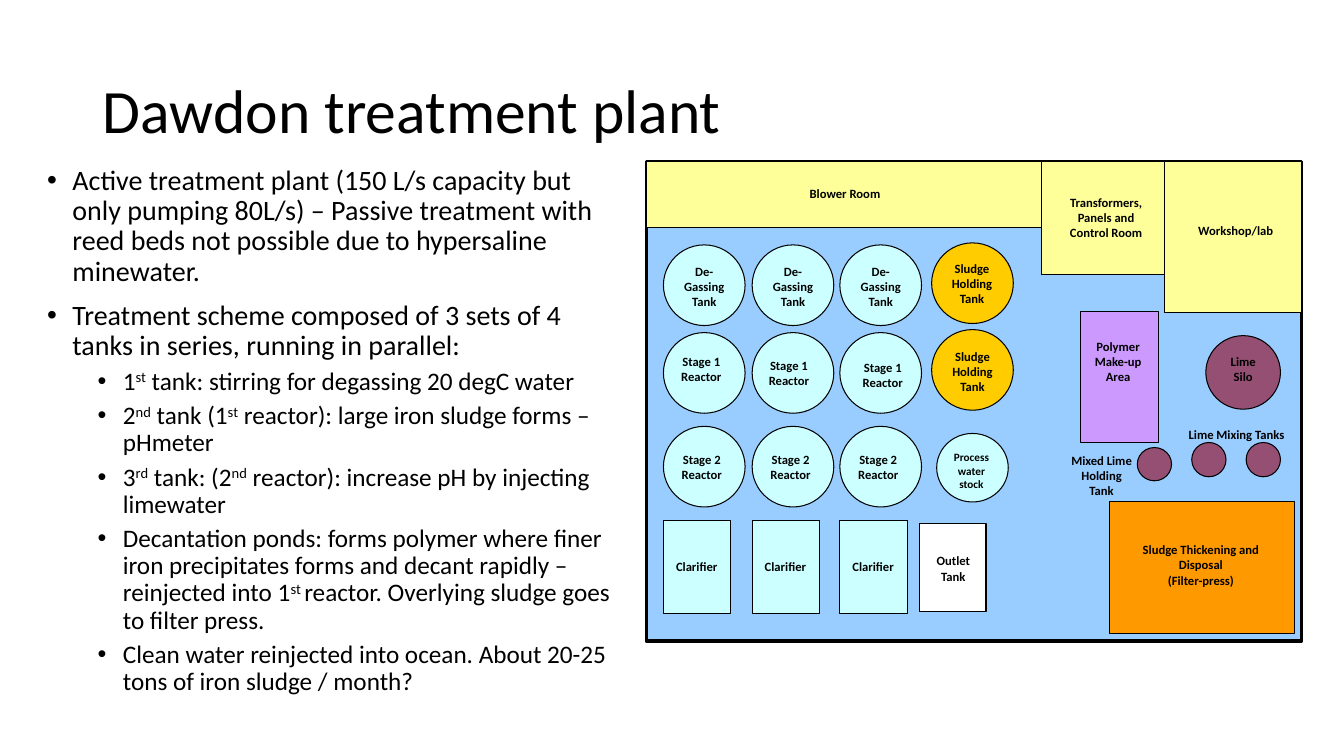
from dataclasses import dataclass

from lxml import etree
from pptx import Presentation
from pptx import util as u
from pptx.dml.color import RGBColor
from pptx.enum import shapes, text
from pptx.oxml.ns import qn
from pptx.shapes.group import GroupShape
from pptx.slide import Slide

BLACK = RGBColor(0x00, 0x00, 0x00)
WHITE = RGBColor(0xFF, 0xFF, 0xFF)
FLOOR_BLUE = RGBColor(0x99, 0xCC, 0xFF)
ROOM_YELLOW = RGBColor(0xFF, 0xFF, 0x99)
FILTER_ORANGE = RGBColor(0xFF, 0x99, 0x00)
LIME_PURPLE = RGBColor(0x95, 0x4F, 0x72)
WATER_CYAN = RGBColor(0xCC, 0xFF, 0xFF)
SLUDGE_GOLD = RGBColor(0xFF, 0xCC, 0x00)
POLYMER_LILAC = RGBColor(0xCC, 0x99, 0xFF)
FONT = "Calibri"
RECT = shapes.MSO_SHAPE.RECTANGLE
OVAL = shapes.MSO_SHAPE.OVAL


@dataclass
class Unit:
    kind: shapes.MSO_SHAPE
    left: float
    top: float
    width: float
    height: float
    fill: RGBColor
    line: float = 0.75


@dataclass
class Label:
    wording: str
    left: float
    top: float
    width: float
    height: float
    size: float = 9
    align: text.PP_ALIGN = text.PP_ALIGN.CENTER


@dataclass
class Point:
    """A bullet; stretches between carets are superscript."""
    wording: str
    level: int = 1


POINTS = [
    Point("Active treatment plant (150 L/s capacity but only pumping 80L/s) – Passive "
          "treatment with reed beds not possible due to hypersaline minewater.", 0),
    Point("Treatment scheme composed of 3 sets of 4 tanks in series, running in parallel:", 0),
    Point("1^st^ tank: stirring for degassing 20 degC water"),
    Point("2^nd^ tank (1^st^ reactor): large iron sludge forms – pHmeter"),
    Point("3^rd^ tank: (2^nd^ reactor): increase pH by injecting limewater"),
    Point("Decantation ponds: forms polymer where finer iron precipitates forms and decant "
          "rapidly – reinjected into 1^st ^reactor. Overlying sludge goes to filter press."),
    Point("Clean water reinjected into ocean. About 20-25 tons of iron sludge / month?"),
]

LINE_LEFTS = [6.58, 7.46, 8.33]
TANK_TOPS = [2.43, 3.3, 4.23]

UNITS = [
    Unit(RECT, 6.41, 1.6, 6.5, 4.76, FLOOR_BLUE, 2.25),
    Unit(RECT, 6.41, 1.6, 3.99, 0.66, ROOM_YELLOW),
    Unit(RECT, 10.33, 1.6, 2.37, 1.12, ROOM_YELLOW),
    Unit(RECT, 11, 4.98, 1.84, 1.31, FILTER_ORANGE),
    Unit(RECT, 11.55, 1.6, 1.36, 1.5, ROOM_YELLOW),
    Unit(OVAL, 11.82, 4.39, 0.34, 0.34, LIME_PURPLE),
    Unit(OVAL, 12.36, 4.39, 0.34, 0.34, LIME_PURPLE),
    Unit(OVAL, 11.28, 4.44, 0.34, 0.33, LIME_PURPLE),
    Unit(OVAL, 11.96, 3.33, 0.74, 0.73, LIME_PURPLE),
    *[Unit(RECT, left, 5.16, 0.67, 0.93, WATER_CYAN) for left in LINE_LEFTS],
    *[Unit(OVAL, left, top, 0.81, 0.8, WATER_CYAN) for top in TANK_TOPS for left in LINE_LEFTS],
    *[Unit(OVAL, 9.24, top, 0.81, 0.8, SLUDGE_GOLD) for top in (2.41, 3.27)],
    Unit(RECT, 10.72, 3.09, 0.77, 1.3, POLYMER_LILAC),
    Unit(RECT, 9.12, 5.19, 0.66, 0.88, WHITE),
    Unit(OVAL, 9.29, 4.3, 0.71, 0.68, WATER_CYAN),
]

LABELS = [
    Label("Blower Room", 7.77, 1.8, 1.22, 0.2),
    Label("Transformers, Panels and Control Room", 10.46, 1.88, 1.02, 0.45),
    Label("Workshop/lab", 11.75, 2.16, 1.01, 0.21),
    Label("Lime Silo", 12.09, 3.46, 0.48, 0.33),
    Label("Sludge Thickening and Disposal\n(Filter-press)", 11.07, 5.33, 1.68, 0.45),
    *[Label("De-Gassing Tank", left + 0.07, 2.57, 0.67, 0.45) for left in LINE_LEFTS],
    Label("Stage 1 Reactor", 6.58, 3.46, 0.75, 0.33),
    Label("Stage 1 Reactor", 7.46, 3.5, 0.73, 0.33),
    Label("Stage 1 Reactor", 8.43, 3.52, 0.65, 0.33),
    *[Label("Stage 2 Reactor", left + 0.07, 4.43, 0.62, 0.33) for left in LINE_LEFTS],
    *[Label("Clarifier", left - 0.04, 5.5, 0.74, 0.2) for left in LINE_LEFTS],
    Label("Sludge Holding Tank", 9.3, 2.54, 0.68, 0.45),
    Label("Sludge Holding Tank", 9.24, 3.41, 0.81, 0.45),
    Label("Polymer\nMake-up Area", 10.66, 3.31, 0.86, 0.45),
    Label("Mixed Lime Holding Tank", 10.52, 4.44, 0.81, 0.45),
    Label("Lime Mixing Tanks", 11.69, 4.19, 1.28, 0.2, align=text.PP_ALIGN.LEFT),
    Label("Outlet\nTank", 8.93, 5.44, 1.05, 0.33),
    Label("Process water stock", 9.36, 4.42, 0.55, 0.41, size=8),
]


def add_span(para, wording: str, size: float, bold: bool = False):
    span = para.add_run()
    span.text = wording
    span.font.name = FONT
    span.font.size = u.Pt(size)
    span.font.bold = bold
    span.font.color.rgb = BLACK
    return span


def write_title(page: Slide) -> None:
    title = page.shapes.title
    title.left, title.top = u.Inches(0.92), u.Inches(0.4)
    title.width, title.height = u.Inches(11.5), u.Inches(1.45)
    frame = title.text_frame
    frame.auto_size = text.MSO_AUTO_SIZE.NONE
    frame.vertical_anchor = text.MSO_ANCHOR.MIDDLE
    para = frame.paragraphs[0]
    para.alignment = text.PP_ALIGN.LEFT
    para.line_spacing = 0.9
    add_span(para, "Dawdon treatment plant", 44)


def write_points(page: Slide) -> None:
    box = page.shapes.add_textbox(u.Inches(0.37), u.Inches(1.6), u.Inches(5.92), u.Inches(5.68))
    frame = box.text_frame
    frame.word_wrap = True
    for index, point in enumerate(POINTS):
        para = frame.add_paragraph() if index else frame.paragraphs[0]
        para.level = point.level
        props = para._p.get_or_add_pPr()
        props.set("marL", str(u.Inches(0.25 + 0.5 * point.level)))
        props.set("indent", str(u.Inches(-0.25)))
        etree.SubElement(props, qn("a:buFont")).set("typeface", "Arial")
        etree.SubElement(props, qn("a:buChar")).set("char", "•")
        para.line_spacing = 0.9
        if index:
            para.space_before = u.Pt(5 if point.level else 10)
        for order, piece in enumerate(point.wording.split("^")):
            span = add_span(para, piece, 18 if point.level else 20)
            if order % 2:
                span._r.get_or_add_rPr().set("baseline", "30000")


def draw_unit(plan: GroupShape, unit: Unit) -> None:
    shape = plan.shapes.add_shape(unit.kind, u.Inches(unit.left), u.Inches(unit.top),
                                  u.Inches(unit.width), u.Inches(unit.height))
    shape.shadow.inherit = False
    shape.fill.solid()
    shape.fill.fore_color.rgb = unit.fill
    shape.line.color.rgb = BLACK
    shape.line.width = u.Pt(unit.line)


def draw_label(plan: GroupShape, label: Label) -> None:
    box = plan.shapes.add_textbox(u.Inches(label.left), u.Inches(label.top),
                                  u.Inches(label.width), u.Inches(label.height))
    frame = box.text_frame
    frame.word_wrap = True
    for index, wording in enumerate(label.wording.split("\n")):
        para = frame.add_paragraph() if index else frame.paragraphs[0]
        para.alignment = label.align
        add_span(para, wording, label.size, bold=True)


def main() -> None:
    deck = Presentation()
    deck.slide_width, deck.slide_height = u.Inches(13.33), u.Inches(7.5)
    page = deck.slides.add_slide(deck.slide_layouts.get_by_name("Title Only"))
    write_title(page)
    write_points(page)
    plan = page.shapes.add_group_shape()
    for unit in UNITS:
        draw_unit(plan, unit)
    for label in LABELS:
        draw_label(plan, label)
    deck.save("out.pptx")


if __name__ == "__main__":
    main()
